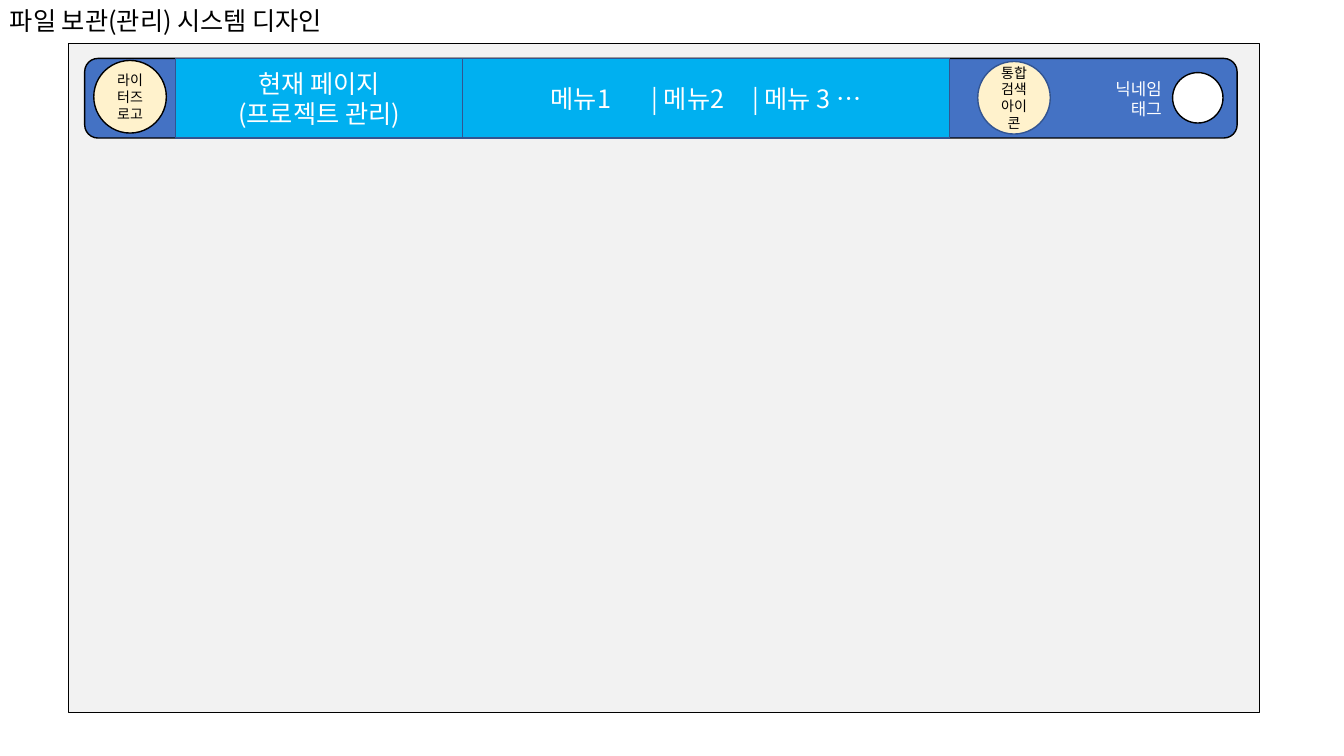
from lxml import etree
from pptx import Presentation
from pptx.dml.color import RGBColor
from pptx.enum.shapes import MSO_SHAPE
from pptx.enum.text import MSO_ANCHOR, MSO_AUTO_SIZE, PP_ALIGN
from pptx.oxml.ns import qn
from pptx.util import Inches, Pt

RECT, ROUND, OVAL = MSO_SHAPE.RECTANGLE, MSO_SHAPE.ROUNDED_RECTANGLE, MSO_SHAPE.OVAL
LEFT, CENTER, RIGHT = PP_ALIGN.LEFT, PP_ALIGN.CENTER, PP_ALIGN.RIGHT
MIDDLE, GROW = MSO_ANCHOR.MIDDLE, MSO_AUTO_SIZE.SHAPE_TO_FIT_TEXT

FONT = "Noto Sans CJK KR"
COLORS = {"black": "000000", "white": "FFFFFF", "canvas": "F2F2F2", "bar": "4472C4",
          "tab": "00B0F0", "edge": "325491", "cream": "FFF2CC"}


class Wireframe:
    """Draws styled elements placed in percent of the slide's width and height."""

    def __init__(self, prs):
        self.prs = prs
        self.s = prs.slides.add_slide(prs.slide_layouts[6])
        self.shapes = self.s.shapes

    def group(self):
        self.shapes = self.s.shapes.add_group_shape().shapes

    def box(self, x, y, w, h):
        width, height = self.prs.slide_width / 100, self.prs.slide_height / 100
        return int(x * width), int(y * height), int(w * width), int(h * height)

    def color(self, name):
        return RGBColor.from_string(COLORS[name])

    def fill_text(self, tf, lines, size, color, align):
        for i, line in enumerate(lines):
            p = tf.add_paragraph() if i else tf.paragraphs[0]
            p.text = line
            p.alignment = align
            p.font.size, p.font.name = Pt(size), FONT
            p.font.color.rgb = self.color(color)
            etree.SubElement(p.font._element, qn("a:ea"), typeface=FONT)

    def shape(self, kind, at, fill, line="black", lines=(), size=18, color="white"):
        sp = self.shapes.add_shape(kind, *self.box(*at))
        sp.shadow.inherit = False
        sp.fill.solid()
        sp.fill.fore_color.rgb = self.color(fill)
        sp.line.color.rgb = self.color(line)
        sp.line.width = Pt(1)
        sp.text_frame.vertical_anchor = MIDDLE
        self.fill_text(sp.text_frame, lines, size, color, CENTER)

    def text(self, at, lines, size, color, align, wrap=True):
        tf = self.shapes.add_textbox(*self.box(*at)).text_frame
        tf.word_wrap, tf.auto_size = wrap, GROW
        self.fill_text(tf, lines, size, color, align)


def main():
    prs = Presentation()
    prs.slide_width, prs.slide_height = Inches(13.33), Inches(7.5)
    page = Wireframe(prs)
    top, height = 7.73, 10.53
    icon_w, icon_h = 5.4, 9.6
    tab_x, menu_x, search_x = 13.05, 34.43, 72.75

    page.text((0, 0, 27.38, 5.33), ["파일 보관(관리) 시스템 디자인"], 18, "black", LEFT, False)
    page.shape(RECT, (5.1, 5.73, 88.6, 88.53), "canvas")

    page.group()
    page.shape(ROUND, (6.3, top, 85.75, height), "bar")
    page.shape(OVAL, (6.98, 8, icon_w, icon_h), "cream",
               lines=["라이터즈 로고"], size=10, color="black")
    page.shape(RECT, (menu_x, top, 36.23, height), "tab", "edge",
               ["메뉴1\t| 메뉴2\t| 메뉴 3 …"])
    page.shape(OVAL, (87.25, 9.6, 3.75, 6.67), "white")
    page.text((81.85, 9.73, 5.33, 6.67), ["닉네임", "태그"], 12, "white", RIGHT)
    page.shape(OVAL, (search_x, 8.13, icon_w, icon_h), "cream", "edge",
               ["통합검색", "아이콘"], 10, "black")
    page.shape(RECT, (tab_x, top, menu_x - tab_x, height), "tab", "edge",
               ["현재 페이지", "(프로젝트 관리)"])
    prs.save("out.pptx")


if __name__ == "__main__":
    main()
